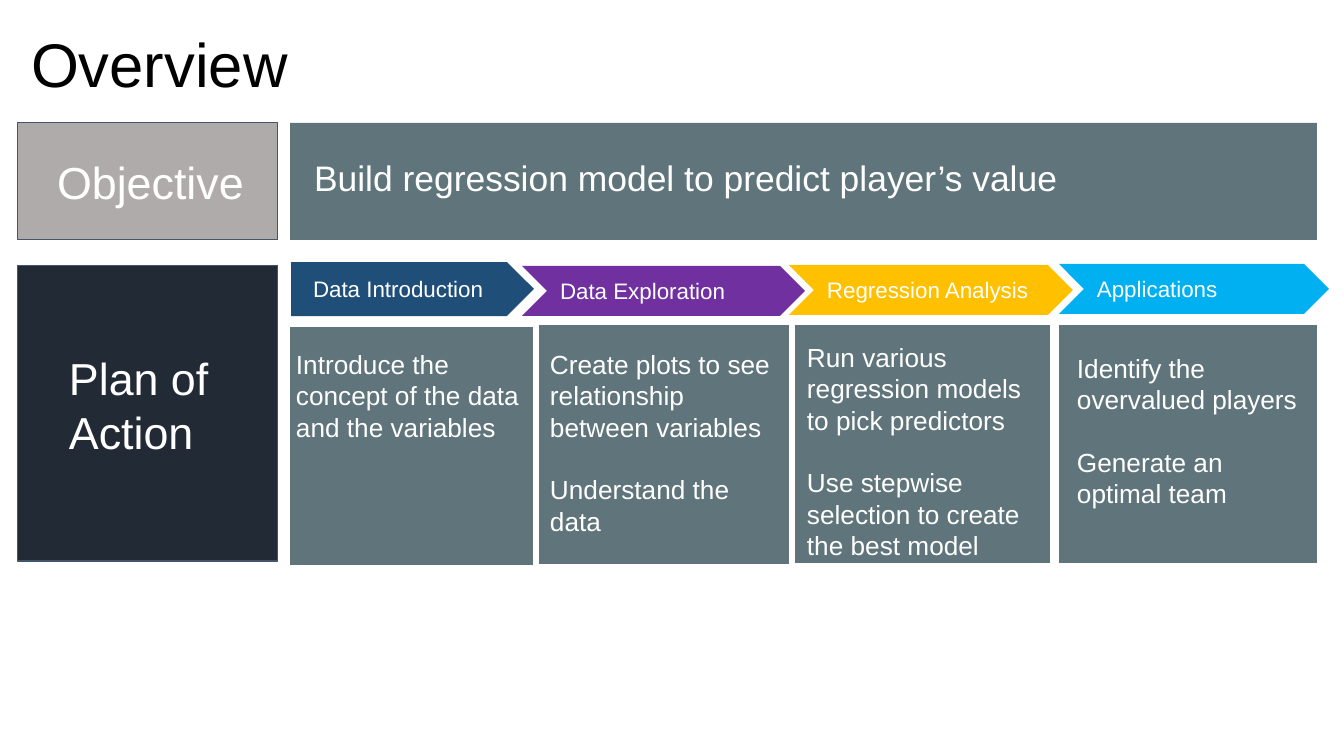
"""Build the project overview slide: objective, plan of action and four stages."""
from dataclasses import dataclass

from pptx import Presentation
from pptx.dml.color import RGBColor
from pptx.enum.shapes import MSO_SHAPE
from pptx.enum.text import MSO_ANCHOR, MSO_AUTO_SIZE, PP_ALIGN
from pptx.util import Emu, Pt

RECTANGLE, PROCESS = MSO_SHAPE.RECTANGLE, MSO_SHAPE.FLOWCHART_PROCESS
PENTAGON, CHEVRON = MSO_SHAPE.PENTAGON, MSO_SHAPE.CHEVRON
TOP, MIDDLE, LEFT = MSO_ANCHOR.TOP, MSO_ANCHOR.MIDDLE, PP_ALIGN.LEFT
NO_FIT = MSO_AUTO_SIZE.NONE
EMU_PER_PX = 914400 / 100.8
INSET = 13
TITLE_ONLY = 5


@dataclass(frozen=True)
class Theme:
    font: str = "Arial"
    ink: str = "000000"
    paper: str = "FFFFFF"
    outline: str = "44546A"
    panel: str = "60757B"
    objective: str = "AFABAB"
    plan: str = "222A35"
    title_size: float = 44
    label_size: float = 32
    goal_size: float = 25.3
    body_size: float = 18.7
    stage_size: float = 16
    body_gap: float = 22.3


THEME = Theme()

TITLE = ("Overview", (18, 21, 1319, 85))
ROWS = [
    ("Objective", THEME.objective, (18, 123, 260, 117), (44, 142, 216, 78)),
    ("Plan of Action", THEME.plan, (18, 265, 260, 296), (56, 338, 294, 155)),
]
GOAL = ("Build regression model to predict player’s value",
        (290, 123, 1027, 117), (301, 143, 987, 85))
STAGES = [
    dict(name="Data Introduction", color="1F4E79", kind=PENTAGON,
         arrow=(291, 262, 243, 54), label=(300, 262, 223, 54),
         panel=(290, 327, 243, 238), body=(283, 335, 250, 210),
         steps=["Introduce the concept of the data and the variables"]),
    dict(name="Data Exploration", color="7030A0", kind=CHEVRON,
         arrow=(522, 266, 283, 50),
         panel=(539, 325, 250, 239), body=(537, 335, 260, 210),
         steps=["Create plots to see relationship between variables",
                "Understand the data"]),
    dict(name="Regression Analysis", color="FFC000", kind=CHEVRON,
         arrow=(789, 265, 284, 50),
         panel=(795, 325, 255, 238), body=(794, 328, 260, 230),
         steps=["Run various regression models to pick predictors",
                "Use stepwise selection to create the best model"]),
    dict(name="Applications", color="00B0F0", kind=CHEVRON,
         arrow=(1059, 264, 270, 50),
         panel=(1059, 325, 258, 238), body=(1064, 339, 260, 210),
         steps=["Identify the overvalued players", "Generate an optimal team"]),
]


def px(length):
    return Emu(round(length * EMU_PER_PX))


def write(box, lines, *, size, color=THEME.paper, anchor=TOP, gap=0, spacing=None):
    frame = box.text_frame
    frame.word_wrap = True
    frame.auto_size = NO_FIT
    frame.vertical_anchor = anchor
    frame.margin_left = frame.margin_right = px(INSET)
    frame.margin_top = frame.margin_bottom = px(INSET)
    for index, line in enumerate(lines):
        para = frame.add_paragraph() if index else frame.paragraphs[0]
        para.alignment = LEFT
        para.line_spacing = spacing
        if index:
            para.space_before = Pt(gap)
        span = para.add_run()
        span.text = line
        span.font.name = THEME.font
        span.font.size = Pt(size)
        span.font.color.rgb = RGBColor.from_string(color)


def add_block(page, kind, area, fill, outline=None):
    block = page.shapes.add_shape(kind, *map(px, area))
    block.shadow.inherit = False
    block.fill.solid()
    block.fill.fore_color.rgb = RGBColor.from_string(fill)
    if outline:
        block.line.color.rgb = RGBColor.from_string(outline)
        block.line.width = Pt(0.75)
    else:
        block.line.fill.background()
    return block


def add_text(page, area, lines, **style):
    write(page.shapes.add_textbox(*map(px, area)), lines, **style)


def add_stage(page, stage):
    add_block(page, PROCESS, stage["panel"], THEME.panel)
    arrow = add_block(page, stage["kind"], stage["arrow"], stage["color"])
    arrow.adjustments[0] = 0.5
    name = [stage["name"]]
    if "label" in stage:
        add_text(page, stage["label"], name, size=THEME.stage_size)
    else:
        write(arrow, name, size=THEME.stage_size, anchor=MIDDLE)
    add_text(page, stage["body"], stage["steps"], size=THEME.body_size,
             gap=THEME.body_gap)


def main():
    deck = Presentation()
    deck.slide_width, deck.slide_height = px(1344), px(756)
    page = deck.slides.add_slide(deck.slide_layouts[TITLE_ONLY])

    heading, area = TITLE
    title = page.shapes.title
    title.left, title.top, title.width, title.height = map(px, area)
    write(title, [heading], size=THEME.title_size, color=THEME.ink, spacing=0.9)

    for label, fill, block_area, text_area in ROWS:
        add_block(page, RECTANGLE, block_area, fill, THEME.outline)
        add_text(page, text_area, [label], size=THEME.label_size)

    goal, block_area, text_area = GOAL
    add_block(page, RECTANGLE, block_area, THEME.panel)
    add_text(page, text_area, [goal], size=THEME.goal_size)

    for stage in STAGES:
        add_stage(page, stage)
    deck.save("out.pptx")


if __name__ == "__main__":
    main()
